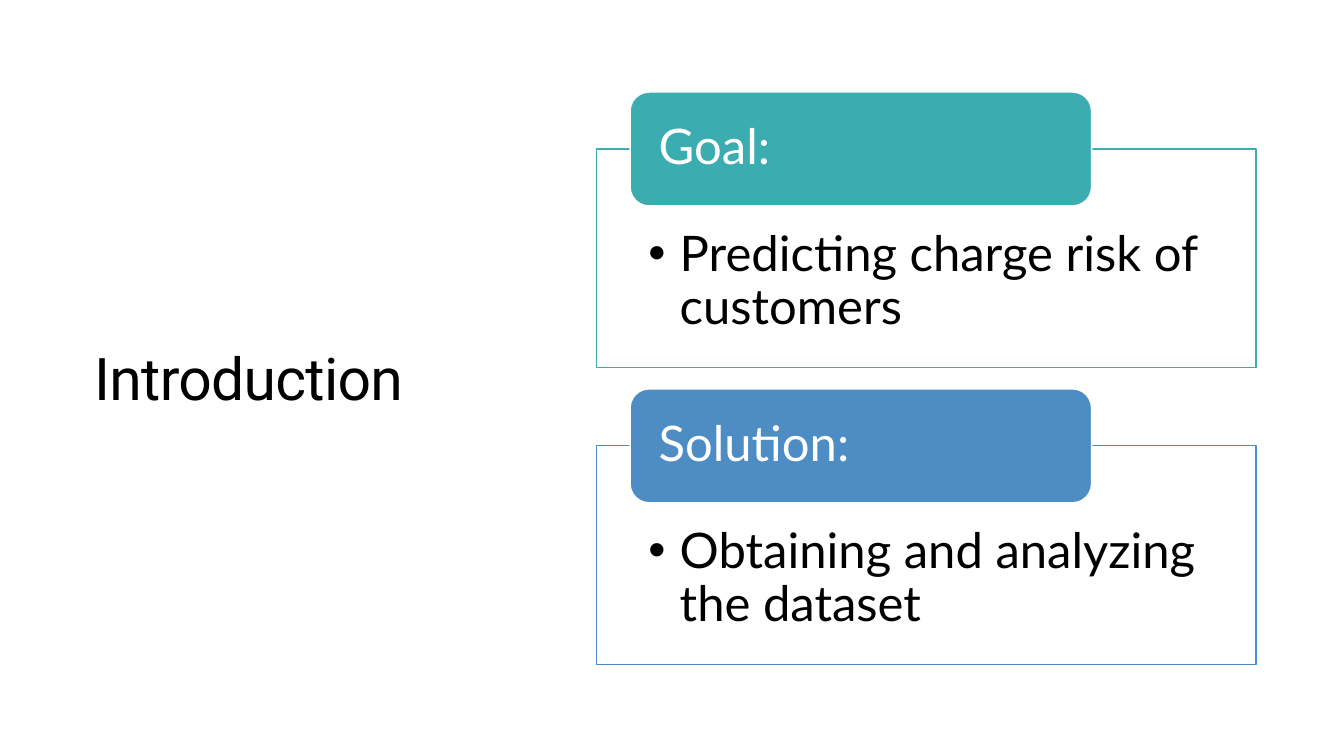
from pptx import Presentation
from pptx.dml.color import RGBColor
from pptx.enum.shapes import MSO_SHAPE as Shape
from pptx.enum.text import MSO_ANCHOR as Anchor, MSO_AUTO_SIZE as AutoSize, PP_ALIGN as Align
from pptx.util import Cm, Pt


def paint(color_format, color):
    color_format.rgb = RGBColor.from_string(color)


def write(box, text, frame_format, line_spacing, font_format, color):
    frame = box.text_frame
    frame_format = {"word_wrap": True, "auto_size": AutoSize.NONE, **frame_format}
    for name, value in frame_format.items():
        setattr(frame, name, value)
    para = frame.paragraphs[0]
    para_format = {"alignment": Align.LEFT, "line_spacing": line_spacing,
                   "space_before": Pt(0), "space_after": Pt(0)}
    for name, value in para_format.items():
        setattr(para, name, value)
    span = para.add_run()
    span.text = text
    for name, value in font_format.items():
        setattr(span.font, name, value)
    paint(span.font.color, color)
    return para


deck = Presentation()
deck.slide_width, deck.slide_height = Cm(33.87), Cm(19.05)
page = deck.slides.add_slide(deck.slide_layouts[3])

title_font = {"name": "Roboto", "size": Pt(42)}
card_font = {"name": "Lato", "size": Pt(35)}
list_frame = {"vertical_anchor": Anchor.TOP, "margin_left": Cm(1.3), "margin_right": Cm(1.3),
              "margin_top": Cm(2.03), "margin_bottom": Cm(0.69)}
tab_frame = {"vertical_anchor": Anchor.MIDDLE, "margin_left": Cm(0.58), "margin_right": Cm(0.58),
             "margin_top": 0, "margin_bottom": 0}

title = page.shapes.title
title.left, title.top, title.width, title.height = Cm(2.12), Cm(2.16), Cm(10.85), Cm(14.83)
title_para = write(title, "Introduction", {"vertical_anchor": Anchor.MIDDLE}, 0.95,
                   title_font, "000000")
title_para.runs[0].font._element.set("spc", "-50")

cards = [
    ("Goal:", "Predicting charge risk of customers", "3BADB1"),
    ("Solution:", "Obtaining and analyzing the dataset", "4D8DC3"),
]
card_left, first_top, card_pitch = 15.04, 3.75, 7.48

for index, (heading, point, color) in enumerate(cards):
    card_top = first_top + index * card_pitch

    card = page.placeholders[index + 1]
    card.left, card.top, card.width, card.height = Cm(card_left), Cm(card_top), Cm(16.61), Cm(5.51)
    card.fill.solid()
    paint(card.fill.fore_color, "FFFFFF")
    paint(card.line.color, color)
    card.line.width = Pt(1)
    point_para = write(card, point, list_frame, 0.9, card_font, "000000")
    properties = point_para._p.get_or_add_pPr()
    properties.set("marL", str(Cm(0.79)))
    properties.set("indent", str(-Cm(0.79)))

    tab = page.shapes.add_shape(Shape.ROUNDED_RECTANGLE, Cm(card_left + 0.84),
                                Cm(card_top - 1.43), Cm(11.63), Cm(2.87))
    tab.shadow.inherit = False
    tab.fill.solid()
    paint(tab.fill.fore_color, color)
    paint(tab.line.color, "FFFFFF")
    tab.line.width = Pt(1)
    write(tab, heading, tab_frame, 0.9, card_font, "FFFFFF")

deck.save("out.pptx")
